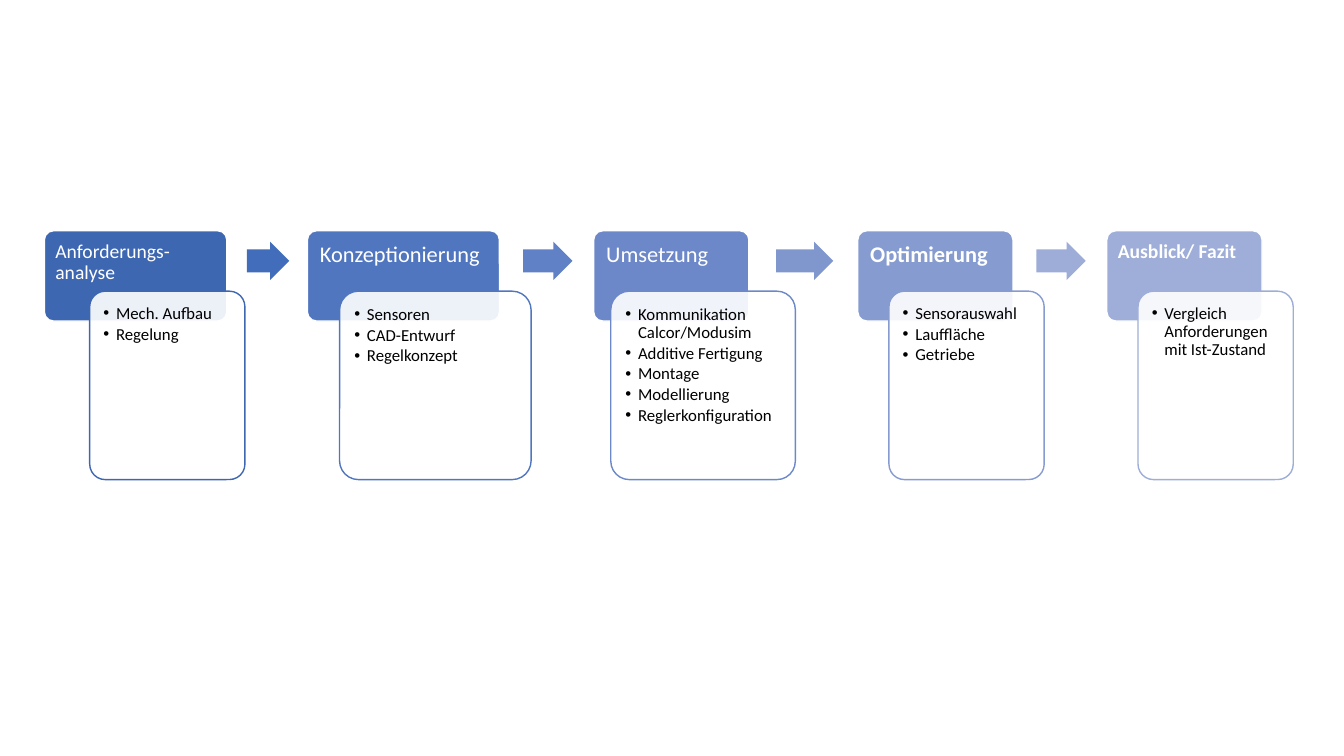
from dataclasses import dataclass

from lxml import etree
from pptx import Presentation
from pptx.dml.color import RGBColor
from pptx.enum.shapes import MSO_SHAPE
from pptx.enum.text import MSO_ANCHOR, PP_ALIGN
from pptx.oxml.ns import qn
from pptx.util import Pt

WHITE = RGBColor(0xFF, 0xFF, 0xFF)
BLACK = RGBColor(0x00, 0x00, 0x00)
PHASE_COLORS = [RGBColor.from_string(c) for c in ("3E67B2", "5176C0", "6C88C8", "869BD0", "9FAED8")]
ARROW_COLORS = [RGBColor.from_string(c) for c in ("416DBB", "6081C5", "8097CE", "9EADD8")]
FONT = "Calibri"
HEADER_HEIGHT = 64.5
CARD_DROP = 43.2
CARD_HEIGHT = 134.6
ARROW_DROP = 7.8
ARROW_HEIGHT = 27.4


@dataclass
class Phase:
    title: str
    size: int
    bold: bool
    left: float
    width: float
    card_shift: float
    card_width: float
    items: list


PHASES = [
    Phase("Anforderungs-analyse", 14, False, 31.7, 130.3, 32.4, 110.9,
          ["Mech. Aufbau", "Regelung"]),
    Phase("Konzeptionierung", 16, False, 219.6, 137.2, 23, 136.8,
          ["Sensoren", "CAD-Entwurf", "Regelkonzept"]),
    Phase("Umsetzung", 16, False, 424.1, 110.9, 12.2, 131.8,
          ["Kommunikation Calcor/Modusim", "Additive Fertigung", "Montage",
           "Modellierung", "Reglerkonfiguration"]),
    Phase("Optimierung", 16, True, 612.7, 110.9, 22.3, 110.9,
          ["Sensorauswahl", "Lauffläche", "Getriebe"]),
    Phase("Ausblick/ Fazit", 14, True, 790.6, 110.9, 22.3, 110.9,
          ["Vergleich Anforderungen mit Ist-Zustand"]),
]


def add_block(slide, kind, left, top, width, height, fill, line=None):
    block = slide.shapes.add_shape(kind, Pt(left), Pt(top), Pt(width), Pt(height))
    block.shadow.inherit = False
    block.fill.solid()
    block.fill.fore_color.rgb = fill
    if line is None:
        block.line.fill.background()
    else:
        block.line.color.rgb = line
        block.line.width = Pt(1)
    return block


def write_paragraphs(shape, texts, size, color, inset, gap, bold=False):
    frame = shape.text_frame
    frame.word_wrap = True
    frame.vertical_anchor = MSO_ANCHOR.TOP
    frame.margin_left = frame.margin_right = Pt(inset)
    frame.margin_top = frame.margin_bottom = Pt(inset)
    for index, text in enumerate(texts):
        paragraph = frame.add_paragraph() if index else frame.paragraphs[0]
        paragraph.alignment = PP_ALIGN.LEFT
        paragraph.line_spacing = 0.9
        paragraph.space_after = Pt(gap)
        run = paragraph.add_run()
        run.text = text
        run.font.name = FONT
        run.font.size = Pt(size)
        run.font.bold = bold
        run.font.color.rgb = color
    return frame.paragraphs


def add_bullet(paragraph):
    properties = paragraph._p.get_or_add_pPr()
    properties.set("marL", str(Pt(9)))
    properties.set("indent", str(-Pt(9)))
    etree.SubElement(properties, qn("a:buFont")).set("typeface", "Arial")
    etree.SubElement(properties, qn("a:buChar")).set("char", "•")


def set_opacity(shape, percent):
    color = shape.fill._xPr.find(qn("a:solidFill"))[0]
    etree.SubElement(color, qn("a:alpha")).set("val", str(percent * 1000))


def add_phase(slide, phase, top, color):
    header = add_block(slide, MSO_SHAPE.ROUNDED_RECTANGLE, phase.left, top,
                       phase.width, HEADER_HEIGHT, color, WHITE)
    header.adjustments[0] = 0.1
    write_paragraphs(header, [phase.title], phase.size, WHITE,
                     phase.size * 0.56 - 1.9, phase.size * 0.35, phase.bold)
    card = add_block(slide, MSO_SHAPE.ROUNDED_RECTANGLE, phase.left + phase.card_shift,
                     top + CARD_DROP, phase.card_width, CARD_HEIGHT, WHITE, color)
    card.adjustments[0] = 0.1
    set_opacity(card, 90)
    for paragraph in write_paragraphs(card, phase.items, 12, BLACK, 6.6, 1.8):
        add_bullet(paragraph)


def add_phase_arrow(slide, start, end, top, color):
    gap = end - start
    arrow = add_block(slide, MSO_SHAPE.RIGHT_ARROW, start + gap * 0.25, top + ARROW_DROP,
                      gap * 0.525, ARROW_HEIGHT, color)
    arrow.adjustments[0] = 0.6
    arrow.adjustments[1] = 0.5


def add_process(slide, top):
    for phase, color in zip(PHASES, PHASE_COLORS):
        add_phase(slide, phase, top, color)
    for phase, following, color in zip(PHASES, PHASES[1:], ARROW_COLORS):
        add_phase_arrow(slide, phase.left + phase.width, following.left, top, color)


presentation = Presentation()
presentation.slide_width = Pt(960)
presentation.slide_height = Pt(540)
process_slide = presentation.slides.add_slide(presentation.slide_layouts[6])
add_process(process_slide, 164.8)
presentation.save("out.pptx")
